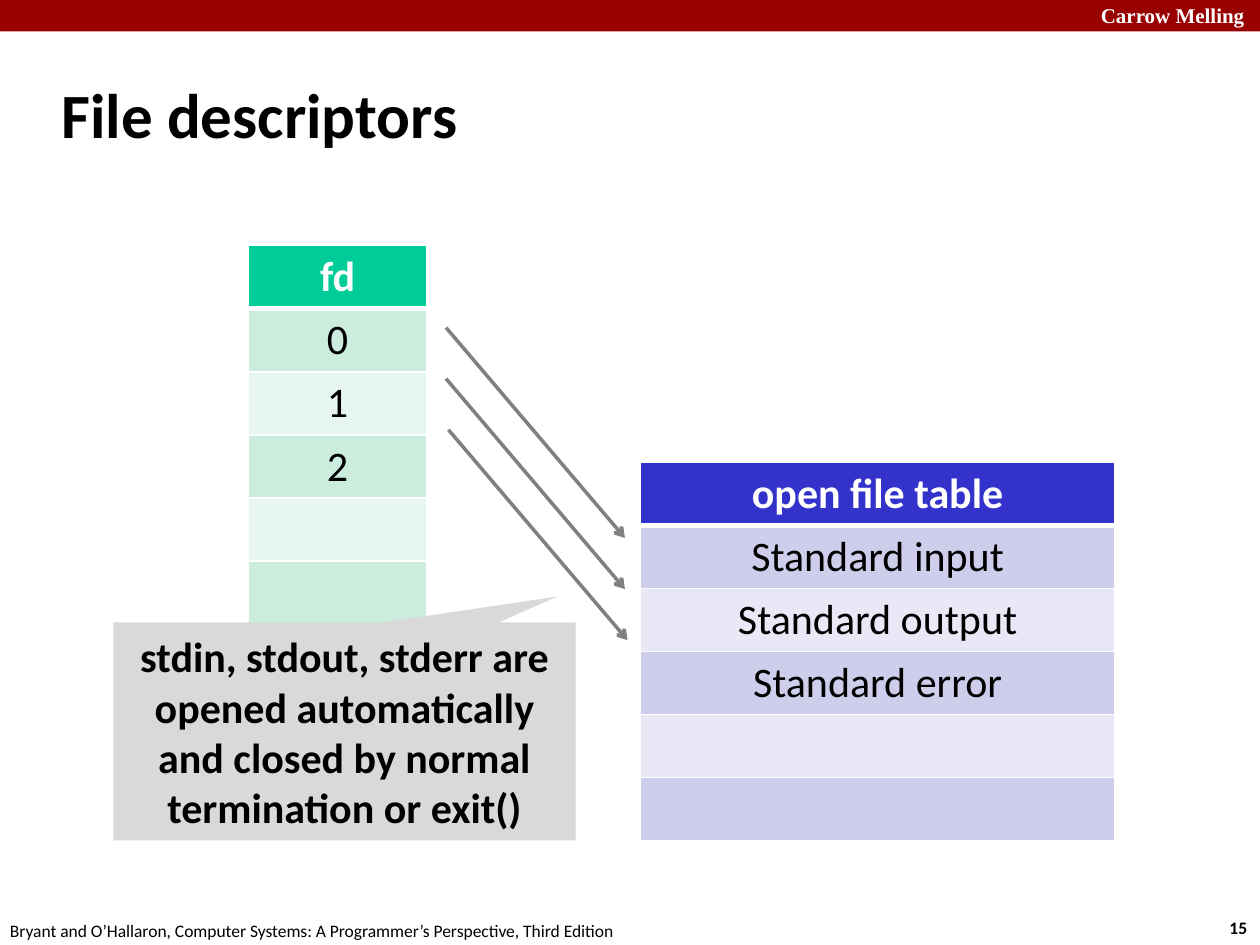
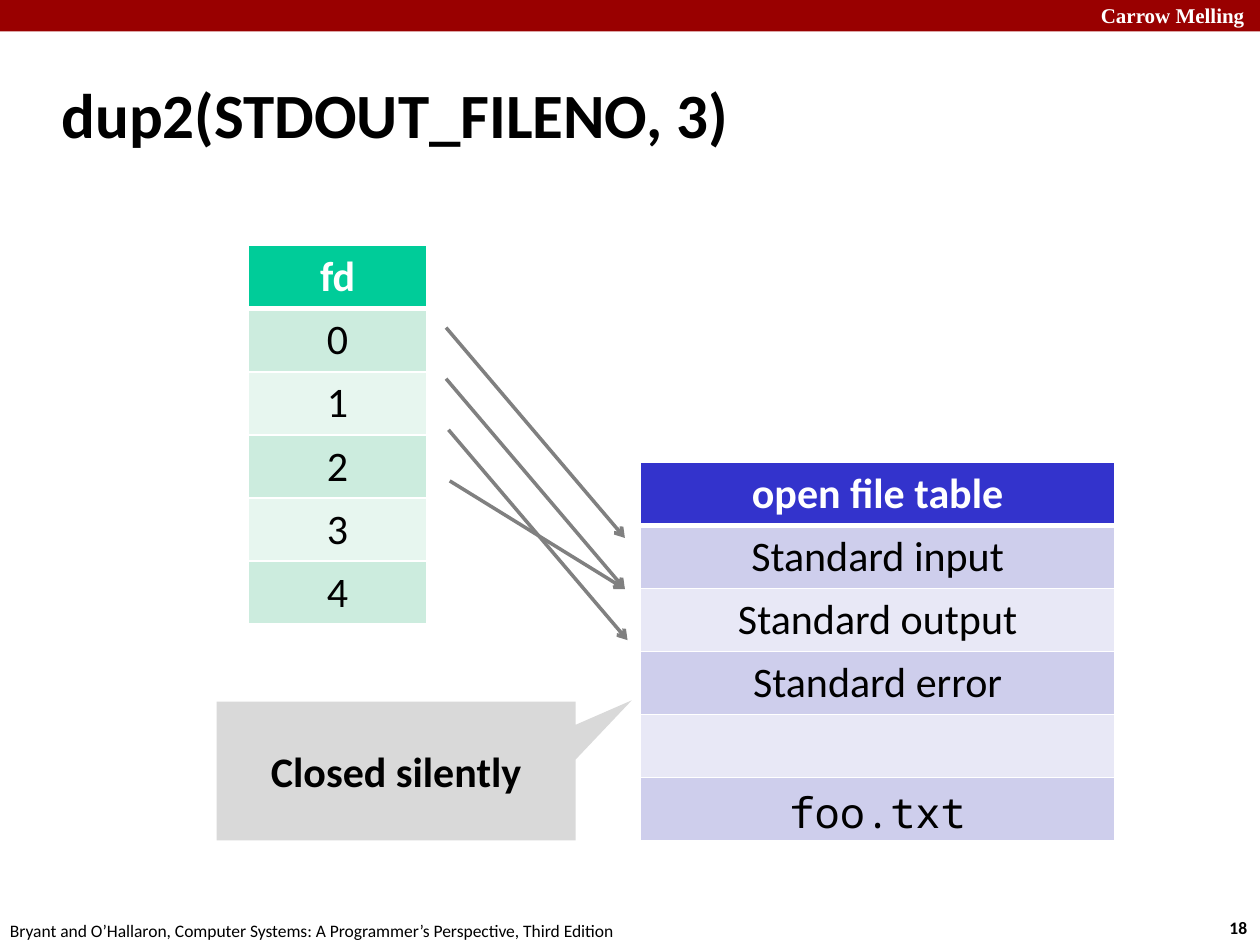
from lxml import etree
from pptx import Presentation
from pptx.dml.color import RGBColor
from pptx.enum.shapes import MSO_CONNECTOR, MSO_SHAPE
from pptx.enum.text import MSO_ANCHOR, PP_ALIGN
from pptx.oxml.ns import qn
from pptx.util import Pt

LEFT, CENTER = PP_ALIGN.LEFT, PP_ALIGN.CENTER
TOP, MIDDLE = MSO_ANCHOR.TOP, MSO_ANCHOR.MIDDLE
STRAIGHT = MSO_CONNECTOR.STRAIGHT
RECTANGLE, CALLOUT = MSO_SHAPE.RECTANGLE, MSO_SHAPE.RECTANGULAR_CALLOUT

# Shared style
SANS, MONO, SERIF = "Calibri", "Noto Sans Mono", "Times New Roman"
BLACK, WHITE, BAND_RED = "000000", "FFFFFF", "990000"
ARROW_GREY, CALLOUT_GREY = "808080", "D9D9D9"
GREEN = ("00CC99", "CCECDE", "E7F6EF")  # header, odd rows, even rows
BLUE = ("3333CC", "CECEEC", "E8E8F6")

# Content
SCHOOL = "Carrow Melling"
FOOTER = ("Bryant and O’Hallaron, Computer Systems: "
          "A Programmer’s Perspective, Third Edition")
STANDARD_FILES = ["Standard input", "Standard output", "Standard error"]
SLIDES = [
    dict(title="File descriptors", number="15",
         descriptors=["0", "1", "2", "", ""],
         files=STANDARD_FILES + ["", ""], mono_rows=(),
         links=[(0, 0), (1, 1), (2, 2)],  # descriptor row, file row
         note="stdin, stdout, stderr are opened automatically "
              "and closed by normal termination or exit()",
         note_box=(64.8, 355.7, 264.2, 124.6), note_tip=(0.461, -0.619)),
    dict(title="dup2(STDOUT_FILENO, 3)", number="18",
         descriptors=["0", "1", "2", "3", "4"],
         files=STANDARD_FILES + ["", "foo.txt"], mono_rows=(4, 5),
         links=[(0, 0), (1, 1), (2, 2), (3, 1)],
         note="Closed silently",
         note_box=(123.8, 401, 205.2, 79.2), note_tip=(0.656, -0.51)),
]

# Layout
ROW_HEIGHT = 29.2
DESCRIPTOR_PLACE = (141.8, 140.4, 102.2)  # left, top, width
FILE_PLACE = (365.8, 264.2, 271.4)
LINK_START_X, LINK_START_Y = (254.9, 254.9, 256.3, 257), 187.2
LINK_END_X, LINK_END_Y = (357.1, 357.1, 358.6), 307.4


def color(code):
    return RGBColor.from_string(code)


def points(*lengths):
    return [Pt(length) for length in lengths]


def write(frame, text, size=24, font=SANS, ink=BLACK, bold=False,
          align=LEFT, anchor=TOP, wrap=True):
    frame.word_wrap = wrap
    frame.vertical_anchor = anchor
    paragraph = frame.paragraphs[0]
    paragraph.alignment = align
    if not text:  # an empty line keeps its height from the end mark
        end = etree.SubElement(paragraph._p, qn("a:endParaRPr"), sz=str(size * 100))
        etree.SubElement(end, qn("a:latin"), typeface=font)
        return
    run = paragraph.add_run()
    run.text = text
    run.font.size, run.font.name, run.font.bold = Pt(size), font, bold
    run.font.color.rgb = color(ink)


def add_text(slide, box, text, **style):
    write(slide.shapes.add_textbox(*points(*box)).text_frame, text, **style)


def add_block(slide, kind, box, fill):
    block = slide.shapes.add_shape(kind, *points(*box))
    block.shadow.inherit = False
    block.fill.solid()
    block.fill.fore_color.rgb = color(fill)
    block.line.fill.background()
    return block


def border_cell(cell, widths):
    properties = cell._tc.get_or_add_tcPr()
    for side, width in widths.items():
        edge = etree.SubElement(properties, qn("a:ln" + side), w=str(Pt(width)))
        fill = etree.SubElement(edge, qn("a:solidFill"))
        etree.SubElement(fill, qn("a:srgbClr"), val=WHITE)


def add_column(slide, place, heading, entries, palette, mono_rows=()):
    left, top, width = place
    texts = [heading] + entries
    table = slide.shapes.add_table(
        len(texts), 1, *points(left, top, width, ROW_HEIGHT * len(texts))).table
    for row, text in enumerate(texts):
        header = row == 0
        table.rows[row].height = Pt(ROW_HEIGHT)
        cell = table.cell(row, 0)
        border_cell(cell, {"L": 1, "R": 1, "T": 3 if row == 1 else 1,
                           "B": 3 if header else 1})
        cell.fill.solid()
        cell.fill.fore_color.rgb = color(palette[0 if header else 2 - row % 2])
        write(cell.text_frame, text, bold=header, align=CENTER,
              ink=WHITE if header else BLACK,
              font=MONO if row in mono_rows else SANS)


def add_link(slide, descriptor, file):
    link = slide.shapes.add_connector(STRAIGHT, *points(
        LINK_START_X[descriptor], LINK_START_Y + descriptor * ROW_HEIGHT,
        LINK_END_X[file], LINK_END_Y + file * ROW_HEIGHT))
    link.line.color.rgb = color(ARROW_GREY)
    link.line.width = Pt(2)
    etree.SubElement(link.line._get_or_add_ln(), qn("a:tailEnd"), type="arrow")
    etree.SubElement(link._element.spPr, qn("a:effectLst"))


def add_frame(slide, title, number):
    add_block(slide, RECTANGLE, (0, 0, 720, 18), BAND_RED)
    add_text(slide, (622, -2.2, 103, 21.6), SCHOOL, size=12, font=SERIF,
             ink=WHITE, bold=True)
    add_text(slide, (695.5, 520.6, 26.6, 19.4), number, size=10, bold=True, wrap=False)
    add_text(slide, (-1.4, 522, 365.8, 19.4), FOOTER, size=10, wrap=False)
    add_text(slide, (28.1, 34.6, 597.6, 59.8), title, size=36, bold=True, anchor=MIDDLE)


deck = Presentation()
deck.slide_width, deck.slide_height = points(720, 540)
for content in SLIDES:
    slide = deck.slides.add_slide(deck.slide_layouts[6])
    add_frame(slide, content["title"], content["number"])
    # Descriptors and the files they point to
    add_column(slide, DESCRIPTOR_PLACE, "fd", content["descriptors"], GREEN)
    add_column(slide, FILE_PLACE, "open file table", content["files"], BLUE,
               content["mono_rows"])
    for descriptor, file in content["links"]:
        add_link(slide, descriptor, file)
    # Callout
    note = add_block(slide, CALLOUT, content["note_box"], CALLOUT_GREY)
    note.adjustments[0], note.adjustments[1] = content["note_tip"]
    write(note.text_frame, content["note"], bold=True, align=CENTER, anchor=MIDDLE)
deck.save("out.pptx")
